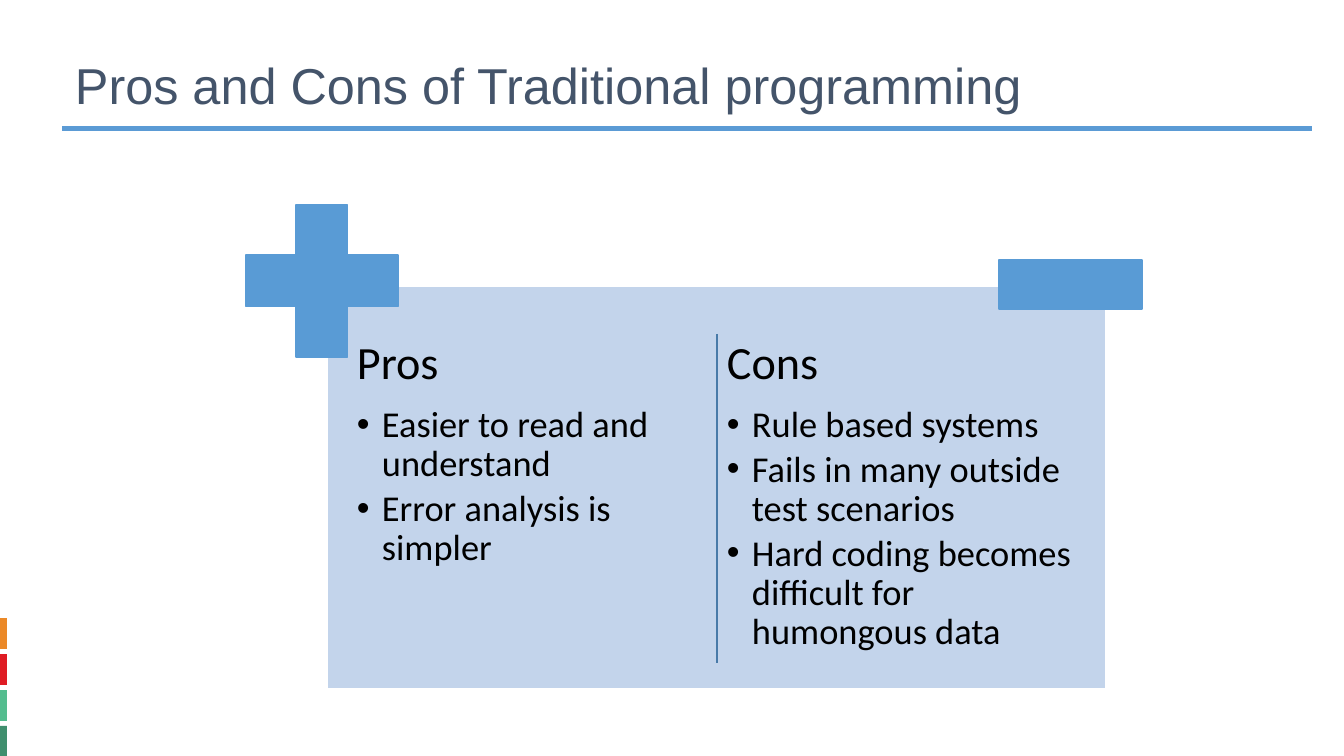
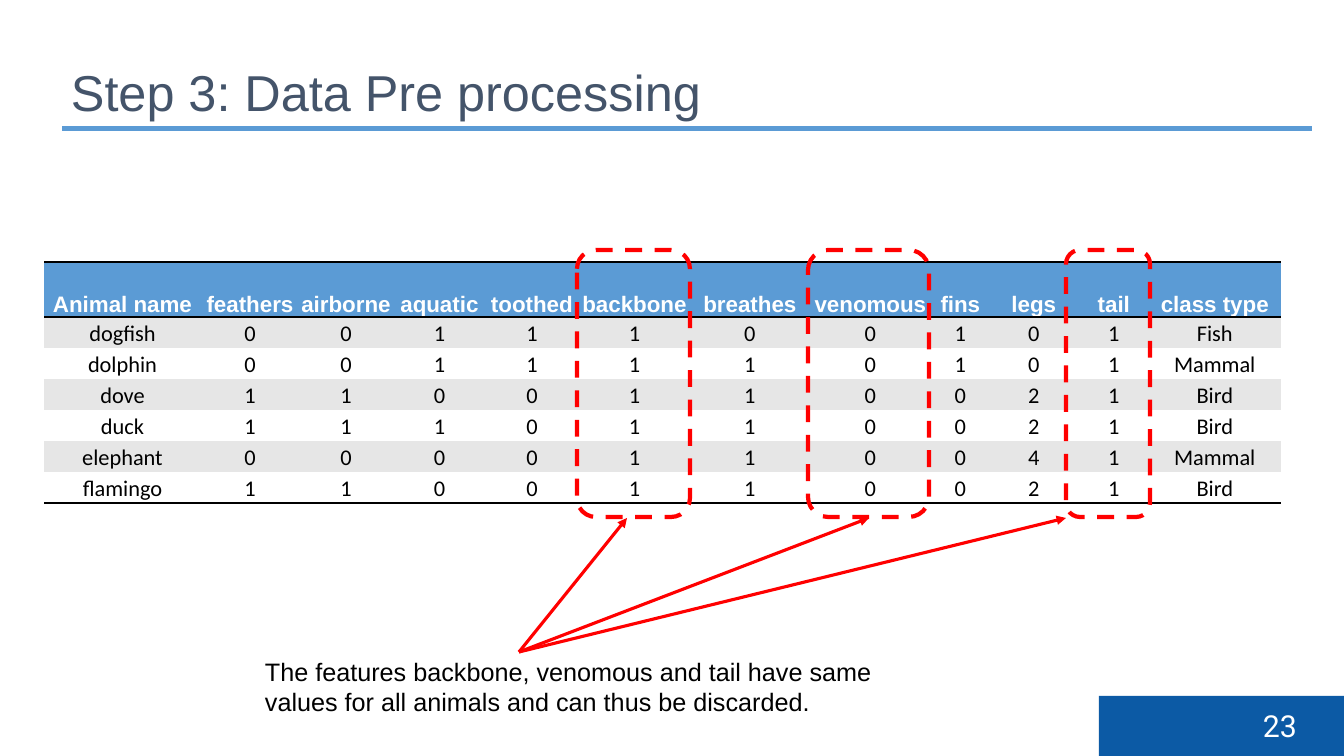
from lxml import etree
from pptx import Presentation
from pptx.dml.color import RGBColor
from pptx.enum.dml import MSO_LINE
from pptx.enum.shapes import MSO_CONNECTOR, MSO_SHAPE
from pptx.enum.text import MSO_ANCHOR, PP_ALIGN
from pptx.oxml.ns import qn
from pptx.util import Emu, Pt

EMU_PER_PX = 914400 / 100.8
RECTANGLE, PLUS, ROUNDED = MSO_SHAPE.RECTANGLE, MSO_SHAPE.CROSS, MSO_SHAPE.ROUNDED_RECTANGLE
STRAIGHT = MSO_CONNECTOR.STRAIGHT
DASH = MSO_LINE.DASH
BOTTOM = MSO_ANCHOR.BOTTOM
LEFT, CENTER = PP_ALIGN.LEFT, PP_ALIGN.CENTER
NO_GRID_STYLE = "{2D5ABB26-0587-4C30-8999-92F81FD0307C}"

BLACK = RGBColor(0x00, 0x00, 0x00)
WHITE = RGBColor(0xFF, 0xFF, 0xFF)
BLUE = RGBColor(0x5B, 0x9B, 0xD5)
SIGN_BLUE = RGBColor(0x59, 0x9B, 0xD5)
PANEL_BLUE = RGBColor(0xC3, 0xD4, 0xEB)
DIVIDER_BLUE = RGBColor(0x48, 0x7A, 0xA8)
PAGE_BLUE = RGBColor(0x0C, 0x5A, 0xA5)
TITLE_SLATE = RGBColor(0x44, 0x54, 0x6A)
ROW_GREY = RGBColor(0xE6, 0xE6, 0xE6)
RED = RGBColor(0xFF, 0x00, 0x00)
SIDE_COLORS = [
    RGBColor(0xEB, 0x89, 0x28),
    RGBColor(0xDF, 0x1C, 0x24),
    RGBColor(0x54, 0xBD, 0x8F),
    RGBColor(0x3F, 0x8F, 0x6E),
]

PROS = ["Easier to read and understand", "Error analysis is simpler"]
CONS = [
    "Rule based systems",
    "Fails in many outside test scenarios",
    "Hard coding becomes difficult for humongous data",
]

ANIMAL_ROWS = [
    ["Animal name", "feathers", "airborne", "aquatic", "toothed", "backbone",
     "breathes", "venomous", "fins", "legs", "tail", "class type"],
    ["dogfish", *"0011100101", "Fish"],
    ["dolphin", *"0011110101", "Mammal"],
    ["dove", *"1100110021", "Bird"],
    ["duck", *"1110110021", "Bird"],
    ["elephant", *"0000110041", "Mammal"],
    ["flamingo", *"1100110021", "Bird"],
]
ANIMAL_ROWS[1] = ["dogfish", *"0011100101", "Fish"]
COLUMN_WIDTHS = [157, 98, 94, 93, 92, 113, 118, 123, 57, 90, 70, 132]
HEADER_HEIGHT, ROW_HEIGHT = 55, 31


def px(length):
    return Emu(round(length * EMU_PER_PX))


def add_block(slide, box, kind=RECTANGLE, fill=None, line=None, width=1, dash=None):
    block = slide.shapes.add_shape(kind, *map(px, box))
    block.shadow.inherit = False
    if fill is None:
        block.fill.background()
    else:
        block.fill.solid()
        block.fill.fore_color.rgb = fill
    if line is None:
        block.line.fill.background()
    else:
        block.line.color.rgb = line
        block.line.width = Pt(width)
        if dash is not None:
            block.line.dash_style = dash
    return block


def add_line(slide, start, end, color, width, arrow=False):
    connector = slide.shapes.add_connector(STRAIGHT, *map(px, (*start, *end)))
    connector.line.color.rgb = color
    connector.line.width = Pt(width)
    properties = connector._element.spPr
    if arrow:
        outline = properties.find(qn("a:ln"))
        etree.SubElement(outline, qn("a:tailEnd"), type="triangle")
    etree.SubElement(properties, qn("a:effectLst"))


def add_frame(slide, box, inset_x=10, inset_y=5):
    frame = slide.shapes.add_textbox(*map(px, box)).text_frame
    frame.word_wrap = True
    frame.margin_left = frame.margin_right = px(inset_x)
    frame.margin_top = frame.margin_bottom = px(inset_y)
    return frame


def add_bullet(paragraph, indent):
    properties = paragraph._p.get_or_add_pPr()
    properties.set("marL", str(px(indent)))
    properties.set("indent", str(-px(indent)))
    etree.SubElement(properties, qn("a:buFont"), typeface="Arial")
    etree.SubElement(properties, qn("a:buChar"), char="•")


def write(paragraph, text, size=18, font="Arial", color=BLACK, bold=False,
          align=LEFT, spacing=None, before=None, bullet_indent=0):
    if bullet_indent:
        add_bullet(paragraph, bullet_indent)
    paragraph.alignment = align
    if spacing is not None:
        paragraph.line_spacing = spacing
    if before is not None:
        paragraph.space_before = Pt(before)
    run = paragraph.add_run()
    run.text = text
    run.font.size = Pt(size)
    run.font.name = font
    run.font.bold = bold
    run.font.color.rgb = color


def add_title(slide, text, left, top):
    add_block(slide, (61, 125, 1252, 7), fill=BLUE, line=WHITE)
    frame = add_frame(slide, (left, top, 1060, 68))
    write(frame.paragraphs[0], text, size=36, color=TITLE_SLATE)


def add_argument_list(slide, left, heading, points):
    frame = add_frame(slide, (left, 333, 362, 345), inset_x=7, inset_y=7)
    write(frame.paragraphs[0], heading, size=33, font="Calibri", spacing=0.9)
    for index, point in enumerate(points):
        write(frame.add_paragraph(), point, size=26, font="Calibri", spacing=0.9,
              before=3.9 if index else 11.6, bullet_indent=25)


def rule_cell(cell, edges):
    # Border elements come before the fill
    properties = cell._tc.get_or_add_tcPr()
    for position, edge in enumerate(edges):
        border = etree.Element(qn(f"a:{edge}"), w=str(Pt(2)))
        fill = etree.SubElement(border, qn("a:solidFill"))
        etree.SubElement(fill, qn("a:srgbClr"), val=str(BLACK))
        properties.insert(position, border)


def add_animal_table(slide, left, top):
    height = HEADER_HEIGHT + ROW_HEIGHT * (len(ANIMAL_ROWS) - 1)
    box = (left, top, sum(COLUMN_WIDTHS), height)
    table = slide.shapes.add_table(len(ANIMAL_ROWS), len(COLUMN_WIDTHS), *map(px, box)).table
    table._tbl.tblPr.find(qn("a:tableStyleId")).text = NO_GRID_STYLE
    table.horz_banding = False
    for column, width in zip(table.columns, COLUMN_WIDTHS):
        column.width = px(width)

    last = len(ANIMAL_ROWS) - 1
    for r, values in enumerate(ANIMAL_ROWS):
        header = r == 0
        table.rows[r].height = px(HEADER_HEIGHT if header else ROW_HEIGHT)
        fill = BLUE if header else ROW_GREY if r % 2 else WHITE
        edges = {0: ["lnT", "lnB"], last: ["lnB"]}.get(r, [])
        for c, value in enumerate(values):
            cell = table.cell(r, c)
            cell.vertical_anchor = BOTTOM
            cell.margin_left = cell.margin_right = cell.margin_top = px(1)
            cell.margin_bottom = 0
            cell.fill.solid()
            cell.fill.fore_color.rgb = fill
            rule_cell(cell, edges)
            write(cell.text_frame.paragraphs[0], value, size=16, bold=header, align=CENTER,
                  font="Arial" if header else "Calibri", color=WHITE if header else BLACK)


def build_pros_and_cons(slide):
    # Coloured marks on the left edge
    for index, color in enumerate(SIDE_COLORS):
        add_block(slide, (0, 618 + 36 * index, 7, 31), fill=color)
    add_title(slide, "Pros and Cons of Traditional programming", 65, 49)

    # Panel with the two lists
    add_block(slide, (327, 286, 779, 403), fill=PANEL_BLUE, line=WHITE)
    add_argument_list(slide, 350, "Pros", PROS)
    add_argument_list(slide, 720, "Cons", CONS)
    add_line(slide, (717, 334), (717, 663), DIVIDER_BLUE, 1)

    # Plus and minus signs
    plus = add_block(slide, (246, 205, 152, 152), PLUS, fill=SIGN_BLUE, line=SIGN_BLUE)
    plus.adjustments[0] = 0.33
    add_block(slide, (999, 260, 143, 49), fill=SIGN_BLUE, line=SIGN_BLUE)


def build_preprocessing(slide):
    add_title(slide, "Step 3: Data Pre processing", 61, 56)

    # Page number
    add_block(slide, (1099, 696, 245, 60), fill=PAGE_BLUE)
    page = add_frame(slide, (1253, 702, 60, 46))
    write(page.paragraphs[0], "23", size=21.6, font="Roboto", color=WHITE)

    add_animal_table(slide, 44, 262)

    # Frames around the constant features, and arrows from the remark
    for left, width in [(577, 113), (1066, 84), (808, 121)]:
        add_block(slide, (left, 250, width, 267), ROUNDED, line=RED, width=3, dash=DASH)
    for target in (627, 869, 1066):
        add_line(slide, (519, 652), (target, 518), RED, 2.25, arrow=True)
    remark = add_frame(slide, (255, 651, 674, 72))
    write(remark.paragraphs[0], "The features backbone, venomous and tail have same values "
          "for all animals and can thus be discarded.")


def main():
    deck = Presentation()
    deck.slide_width, deck.slide_height = px(1344), px(756)
    blank = deck.slide_layouts[6]
    for build in (build_pros_and_cons, build_preprocessing):
        build(deck.slides.add_slide(blank))
    deck.save("out.pptx")


if __name__ == "__main__":
    main()
